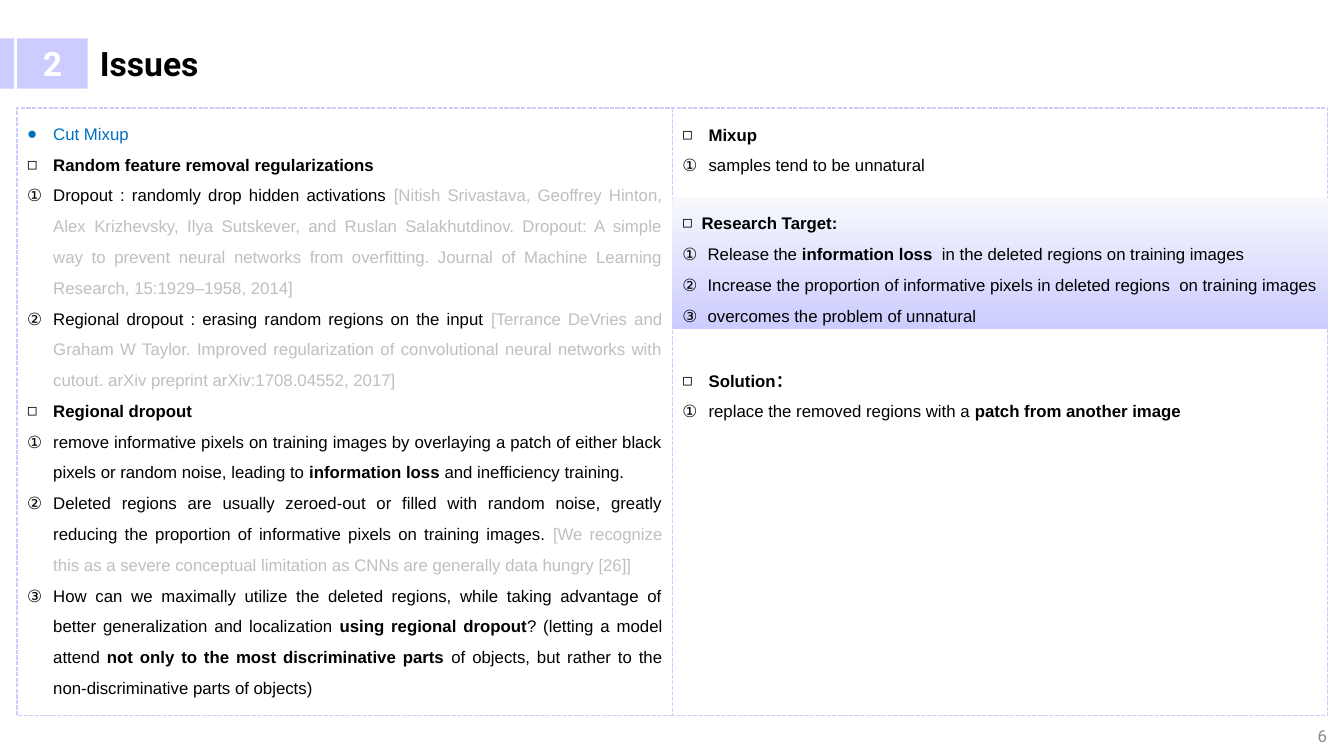
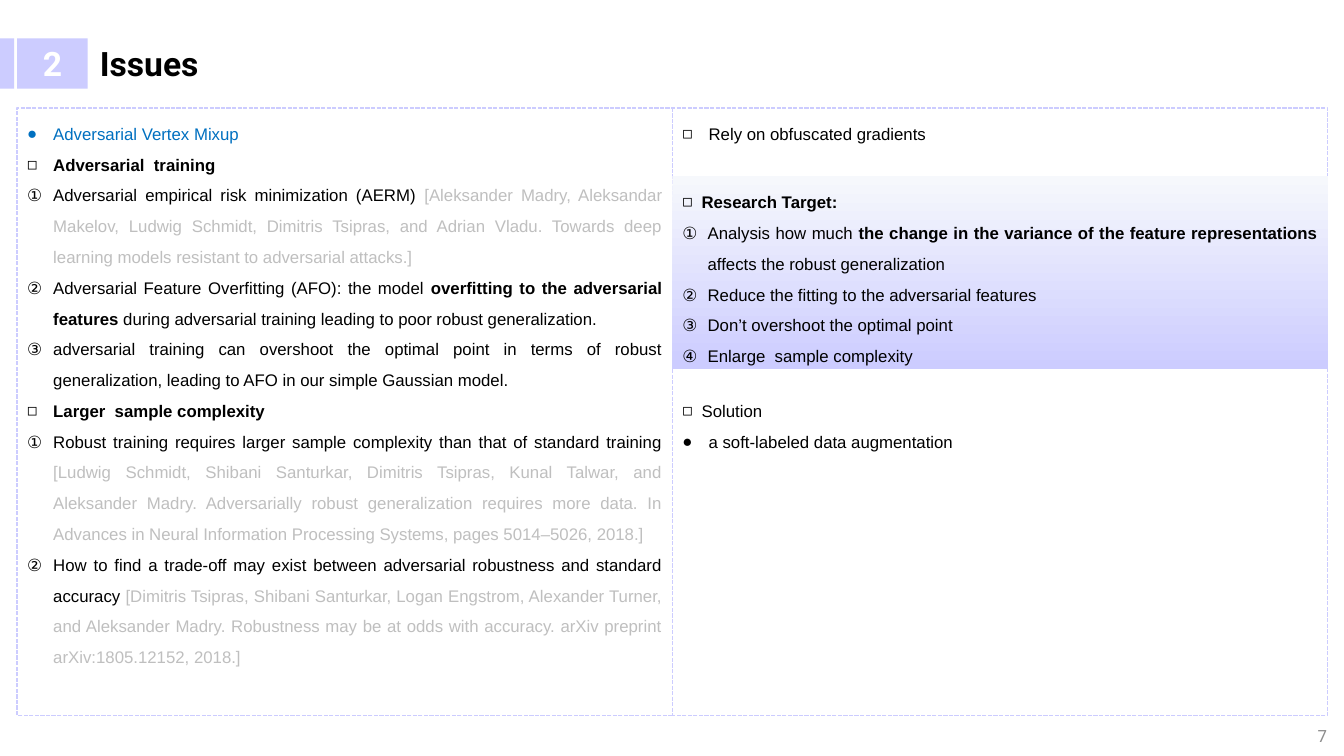
from lxml import etree
from pptx import Presentation
from pptx.dml.color import RGBColor
from pptx.enum.dml import MSO_LINE
from pptx.enum.shapes import MSO_CONNECTOR, MSO_SHAPE
from pptx.enum.text import MSO_ANCHOR, PP_ALIGN
from pptx.oxml.ns import qn
from pptx.util import Inches, Pt

LILAC, PALE, BLUE = "CCCCFF", "F6F8FC", "0070C0"
BLACK, WHITE, GRAY, LIGHT_GRAY = "000000", "FFFFFF", "8C8C8C", "BFBFBF"
LINE_PT = 22
FRAME_X, FRAME_Y, COL_W, FRAME_H = 0.17, 1.07, 6.5, 6.03
RIGHT_X = FRAME_X + COL_W
DOT, BOX, NUM = "●", "◻", "circleNumDbPlain"


def rgb(value):
    return RGBColor.from_string(value)


# Run and paragraph helpers: a run is (text, bold, colour)
def plain(text, color=BLACK):
    return text, False, color


def bold(text):
    return text, True, BLACK


def cite(text):
    return text, False, LIGHT_GRAY


def topic(text):
    return DOT, [plain(text, BLUE)]


def head(text):
    return BOX, [bold(text)]


def num(*runs):
    return NUM, [plain(r) if isinstance(r, str) else r for r in runs]


class Deck:
    """Holds the shared style and the current slide."""

    def __init__(self):
        self.prs = Presentation()
        self.prs.slide_width = Inches(13.33)
        self.prs.slide_height = Inches(7.5)
        self.s = None

    def rect(self, x, y, w, h, fill=None):
        sp = self.s.shapes.add_shape(MSO_SHAPE.RECTANGLE, Inches(x), Inches(y),
                                     Inches(w), Inches(h))
        sp.shadow.inherit = False
        if fill:
            sp.fill.solid()
            sp.fill.fore_color.rgb = rgb(fill)
        else:
            sp.fill.background()
        sp.line.fill.background()
        return sp

    def textbox(self, x, y, w, h):
        return self.s.shapes.add_textbox(Inches(x), Inches(y), Inches(w), Inches(h))

    def dash(self, line):
        line.color.rgb = rgb(LILAC)
        line.width = Pt(1)
        line.dash_style = MSO_LINE.SQUARE_DOT

    def font(self, r, size, name, color, is_bold=False):
        r.font.size, r.font.name, r.font.bold = Pt(size), name, is_bold
        r.font.color.rgb = rgb(color)

    def label(self, sp, text, size, color, align, is_bold=True):
        tf = sp.text_frame
        tf.text = text
        tf.word_wrap = True
        tf.vertical_anchor = MSO_ANCHOR.MIDDLE
        p = tf.paragraphs[0]
        p.alignment = align
        self.font(p.runs[0], size, "Roboto", color, is_bold)

    def page(self, section, title, number):
        """Start a slide with its title band, split frame and page number."""
        self.s = self.prs.slides.add_slide(self.prs.slide_layouts[5])
        self.rect(0, 0.38, 0.14, 0.5, LILAC)
        self.label(self.rect(FRAME_X, 0.38, 0.7, 0.5, LILAC), section, 24, WHITE,
                   PP_ALIGN.CENTER)
        sp = self.s.shapes.title
        sp.left, sp.top = Inches(0.89), Inches(0.38)
        sp.width, sp.height = Inches(12.28), Inches(0.5)
        self.label(sp, title, 24, BLACK, PP_ALIGN.LEFT)

        frame = self.rect(FRAME_X, FRAME_Y, 2 * COL_W, FRAME_H)
        self.dash(frame.line)
        divider = self.s.shapes.add_connector(
            MSO_CONNECTOR.STRAIGHT, Inches(RIGHT_X), Inches(FRAME_Y),
            Inches(RIGHT_X), Inches(FRAME_Y + FRAME_H))
        divider.begin_connect(frame, 0)
        divider.end_connect(frame, 2)
        self.dash(divider.line)
        etree.SubElement(divider._element.spPr, qn("a:effectLst"))

        self.label(self.textbox(10.26, 7.1, 3, 0.4), number, 12, GRAY,
                   PP_ALIGN.RIGHT, False)

    def bullet(self, p, kind, indent):
        pPr = p._p.get_or_add_pPr()
        pPr.set("marL", str(Inches(indent)))
        pPr.set("indent", str(-Inches(indent)))
        if kind == NUM:
            etree.SubElement(pPr, qn("a:buFont"), typeface="+mj-ea")
            etree.SubElement(pPr, qn("a:buAutoNum"), type=kind)
        else:
            etree.SubElement(pPr, qn("a:buFont"), typeface="Arial")
            etree.SubElement(pPr, qn("a:buChar"), char=kind)

    def outline(self, sp, items, box_indent=0.26, indent=0.26):
        tf = sp.text_frame
        tf.word_wrap = True
        tf.vertical_anchor = MSO_ANCHOR.TOP
        for i, (kind, runs) in enumerate(items):
            p = tf.add_paragraph() if i else tf.paragraphs[0]
            p.alignment = PP_ALIGN.JUSTIFY
            p.line_spacing = Pt(LINE_PT)
            self.bullet(p, kind, box_indent if kind == BOX else indent)
            for text, is_bold, color in runs:
                r = p.add_run()
                r.text = text
                self.font(r, 12, "Arial", color, is_bold)

    def column(self, x, y, h, items, box_indent=0.26):
        self.outline(self.textbox(x, y, COL_W, h), items, box_indent)

    def target(self, y, h, items):
        """Research target on a gradient panel in the right column."""
        sp = self.rect(RIGHT_X, y, COL_W, h)
        sp.fill.gradient()
        sp.fill.gradient_angle = 270
        for stop, color, pos in zip(sp.fill.gradient_stops, (PALE, LILAC), (0, 1)):
            stop.color.rgb = rgb(color)
            stop.position = pos
        self.outline(sp, [head("Research Target:")] + items, 0.19, 0.25)


def cut_mixup(deck):
    deck.page("2", "Issues", "6")
    deck.column(FRAME_X, FRAME_Y, 5.92, [
        topic("Cut Mixup"),
        head("Random feature removal regularizations"),
        num("Dropout : randomly drop hidden activations ",
            cite("[Nitish Srivastava, Geoffrey Hinton, Alex Krizhevsky, Ilya Sutskever, "
                 "and Ruslan Salakhutdinov. Dropout: A simple way to prevent neural "
                 "networks from overfitting. Journal of Machine Learning Research, "
                 "15:1929–1958, 2014]")),
        num("Regional dropout : erasing random regions on the input",
            cite(" [Terrance DeVries and Graham W Taylor. Improved regularization of "
                 "convolutional neural networks with cutout. arXiv preprint "
                 "arXiv:1708.04552, 2017]")),
        head("Regional dropout"),
        num("remove informative pixels on training images by overlaying a patch of "
            "either black pixels or random noise, leading to ",
            bold("information loss "), "and inefficiency training."),
        num("Deleted regions are usually zeroed-out or filled with random noise, greatly "
            "reducing the proportion of informative pixels on training images. ",
            cite("[We recognize this as a severe conceptual limitation as CNNs are "
                 "generally data hungry [26]]")),
        num("How can we maximally utilize the deleted regions, while taking advantage of "
            "better generalization and localization ", bold("using regional dropout"),
            "? (letting a model attend ",
            bold("not only to the most discriminative parts "),
            "of objects, but rather to the non-discriminative parts of objects)"),
    ])
    deck.column(RIGHT_X, 1.08, 0.71, [
        head("Mixup"),
        num("samples tend to be unnatural"),
    ])
    deck.target(1.96, 1.3, [
        num("Release the ", bold("information loss "),
            " in the deleted regions on training images"),
        num("Increase the proportion of informative pixels in deleted regions  on "
            "training images"),
        num("overcomes the problem of unnatural"),
    ])
    deck.column(RIGHT_X, 3.52, 0.71, [
        head("Solution："),
        num("replace the removed regions with a ", bold("patch from another image")),
    ])


def vertex_mixup(deck):
    deck.page("2", "Issues", "7")
    deck.column(FRAME_X, FRAME_Y, 5.62, [
        topic("Adversarial Vertex Mixup"),
        head("Adversarial  training"),
        num("Adversarial empirical risk minimization (AERM) ",
            cite("[Aleksander Madry, Aleksandar Makelov, Ludwig Schmidt, Dimitris "
                 "Tsipras, and Adrian Vladu. Towards deep learning models resistant to "
                 "adversarial attacks.]")),
        num("Adversarial Feature Overfitting (AFO): the model ",
            bold("overfitting to the adversarial features"),
            " during adversarial training leading to poor robust generalization."),
        num("adversarial training can overshoot the optimal point in terms of robust "
            "generalization, leading to AFO in our simple Gaussian model."),
        head("Larger  sample complexity"),
        num("Robust training requires larger sample complexity than that of standard "
            "training ",
            cite("[Ludwig Schmidt, Shibani Santurkar, Dimitris Tsipras, Kunal Talwar, "
                 "and Aleksander Madry. Adversarially robust generalization requires "
                 "more data. In Advances in Neural Information Processing Systems, "
                 "pages 5014–5026, 2018.]")),
        num("How to find a trade-off may exist between adversarial robustness and "
            "standard accuracy ",
            cite("[Dimitris Tsipras, Shibani Santurkar, Logan Engstrom, Alexander "
                 "Turner, and Aleksander Madry. Robustness may be at odds with accuracy. "
                 "arXiv preprint arXiv:1805.12152, 2018.]")),
    ])
    deck.column(RIGHT_X, FRAME_Y, 0.41, [
        (BOX, [plain("Rely on obfuscated gradients")]),
    ])
    deck.target(1.75, 1.91, [
        num("Analysis how much ",
            bold("the change in the variance of the feature representations "),
            "affects the robust generalization"),
        num("Reduce the fitting to the adversarial features"),
        num("Don’t overshoot the optimal point"),
        num("Enlarge  sample complexity"),
    ])
    deck.column(RIGHT_X, 3.82, 0.71, [
        (BOX, [plain("Solution")]),
        (DOT, [plain("a soft-labeled data augmentation")]),
    ], box_indent=0.19)


def main():
    deck = Deck()
    cut_mixup(deck)
    vertex_mixup(deck)
    deck.prs.save("out.pptx")


if __name__ == "__main__":
    main()
